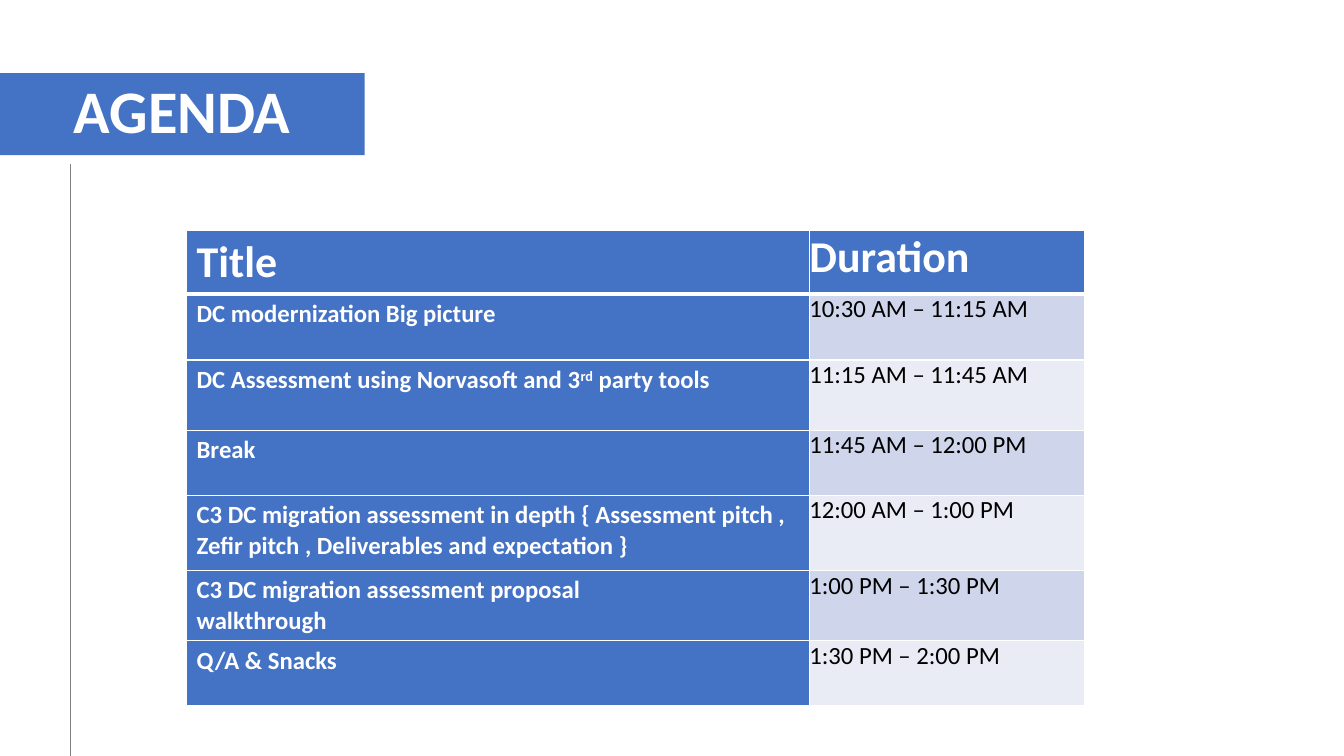
"""Build the agenda slide with its banner title, guide line and timetable."""
from dataclasses import dataclass

import lxml.etree
import pptx
import pptx.dml.color
import pptx.enum.shapes
import pptx.enum.text
import pptx.oxml.ns
import pptx.presentation
import pptx.slide
import pptx.table
import pptx.text.text
import pptx.util
from pptx.util import Inches


@dataclass(frozen=True)
class Theme:
    """Hold the colours and type sizes."""
    font: str = "Calibri"
    accent: str = "4472C4"
    light: str = "FFFFFF"
    dark: str = "000000"
    guide: str = "808080"
    bands: tuple[str, str] = ("CFD5EA", "E9EBF5")
    banner_size: int = 44
    header_size: int = 32
    body_size: int = 18


@dataclass(frozen=True)
class AgendaRow:
    """Describe one table row, with an optional superscript inside its title."""
    title: str
    duration: str
    height: float
    superscript: str = ""
    title_end: str = ""


THEME = Theme()
HEADER = AgendaRow("Title", "Duration", 0.64)
SESSIONS = [
    AgendaRow("DC modernization Big picture", "10:30 AM – 11:15 AM", 0.67),
    AgendaRow("DC Assessment using Norvasoft and 3", "11:15 AM – 11:45 AM", 0.71,
              "rd", " party tools"),
    AgendaRow("Break", "11:45 AM – 12:00 PM", 0.66),
    AgendaRow("C3 DC migration assessment in depth { Assessment pitch , "
              "Zefir pitch , Deliverables and expectation }", "12:00 AM – 1:00 PM", 0.76),
    AgendaRow("C3 DC migration assessment proposal\vwalkthrough", "1:00 PM – 1:30 PM", 0.71),
    AgendaRow("Q/A & Snacks", "1:30 PM – 2:00 PM", 0.66),
]
COLUMN_WIDTHS = (6.3, 2.78)


def rgb(value: str) -> pptx.dml.color.RGBColor:
    """Turn a hexadecimal value into a colour."""
    return pptx.dml.color.RGBColor.from_string(value)


def add_text(paragraph: pptx.text.text._Paragraph, text: str, *, size: int,
             color: str = THEME.light, bold: bool = True, superscript: bool = False) -> None:
    """Append formatted text, with each vertical tab as a line break."""
    for index, line in enumerate(text.split("\v")):
        if index:
            paragraph.add_line_break()
        run = paragraph.add_run()
        run.text = line
        run.font.name = THEME.font
        run.font.size = pptx.util.Pt(size)
        run.font.bold = bold
        run.font.color.rgb = rgb(color)
        if superscript:
            run.font._element.set("baseline", "30000")


def add_banner(slide: pptx.slide.Slide) -> None:
    """Turn the title placeholder into the banner."""
    banner = slide.shapes.title
    banner.left, banner.top = Inches(0), Inches(0.74)
    banner.width, banner.height = Inches(3.69), Inches(0.83)
    banner.fill.solid()
    banner.fill.fore_color.rgb = rgb(THEME.accent)
    frame = banner.text_frame
    frame.word_wrap = True
    frame.auto_size = pptx.enum.text.MSO_AUTO_SIZE.NONE
    frame.vertical_anchor = pptx.enum.text.MSO_ANCHOR.MIDDLE
    frame.margin_left = frame.margin_right = Inches(0.2)
    frame.margin_top = frame.margin_bottom = Inches(0.16)
    paragraph = frame.paragraphs[0]
    paragraph.alignment = pptx.enum.text.PP_ALIGN.CENTER
    paragraph.line_spacing = 0.9
    add_text(paragraph, "AGENDA", size=THEME.banner_size)


def add_guide(slide: pptx.slide.Slide) -> None:
    """Draw the vertical line below the banner."""
    guide = slide.shapes.add_connector(
        pptx.enum.shapes.MSO_CONNECTOR.STRAIGHT,
        Inches(0.71), Inches(7.65), Inches(0.71), Inches(1.66))
    guide.line.color.rgb = rgb(THEME.guide)
    guide.line.width = pptx.util.Pt(0.5)
    lxml.etree.SubElement(guide._element.spPr, pptx.oxml.ns.qn("a:effectLst"))


def style_cell(cell: pptx.table._Cell, *, fill: str, margins: tuple[float, float],
               top: float, bottom: float) -> None:
    """Set the margins, white borders and fill of a cell."""
    cell.margin_left = cell.margin_right = Inches(margins[0])
    cell.margin_top = cell.margin_bottom = Inches(margins[1])
    properties = cell._tc.get_or_add_tcPr()
    for side, width in (("L", 1), ("R", 1), ("T", top), ("B", bottom)):
        border = lxml.etree.SubElement(properties, pptx.oxml.ns.qn(f"a:ln{side}"),
                                       w=str(pptx.util.Pt(width)))
        solid = lxml.etree.SubElement(border, pptx.oxml.ns.qn("a:solidFill"))
        lxml.etree.SubElement(solid, pptx.oxml.ns.qn("a:srgbClr"), val=THEME.light)
    cell.fill.solid()
    cell.fill.fore_color.rgb = rgb(fill)


def add_agenda(slide: pptx.slide.Slide) -> None:
    """Add the timetable."""
    rows = [HEADER, *SESSIONS]
    table = slide.shapes.add_table(
        len(rows), len(COLUMN_WIDTHS), Inches(1.89), Inches(2.33),
        Inches(sum(COLUMN_WIDTHS)), Inches(sum(row.height for row in rows))).table
    table.first_col = True
    for column, width in zip(table.columns, COLUMN_WIDTHS):
        column.width = Inches(width)
    for index, row in enumerate(rows):
        table.rows[index].height = Inches(row.height)
        is_header = index == 0
        size = THEME.header_size if is_header else THEME.body_size
        top, bottom = 3 if index == 1 else 1, 3 if is_header else 1
        title, duration = table.cell(index, 0), table.cell(index, 1)
        style_cell(title, fill=THEME.accent, margins=(0.1, 0.05), top=top, bottom=bottom)
        style_cell(duration, fill=THEME.accent if is_header else THEME.bands[(index - 1) % 2],
                   margins=(0, 0), top=top, bottom=bottom)
        paragraph = title.text_frame.paragraphs[0]
        add_text(paragraph, row.title, size=size)
        if row.superscript:
            add_text(paragraph, row.superscript, size=size, superscript=True)
            add_text(paragraph, row.title_end, size=size)
        add_text(duration.text_frame.paragraphs[0], row.duration, size=size,
                 color=THEME.light if is_header else THEME.dark, bold=is_header)


def main() -> None:
    """Build and save the presentation."""
    presentation = pptx.Presentation()
    presentation.slide_width, presentation.slide_height = Inches(13.6), Inches(7.65)
    title_only = presentation.slide_layouts.get_by_name("Title Only")
    slide = presentation.slides.add_slide(title_only)
    add_guide(slide)
    add_banner(slide)
    add_agenda(slide)
    presentation.save("out.pptx")


if __name__ == "__main__":
    main()
